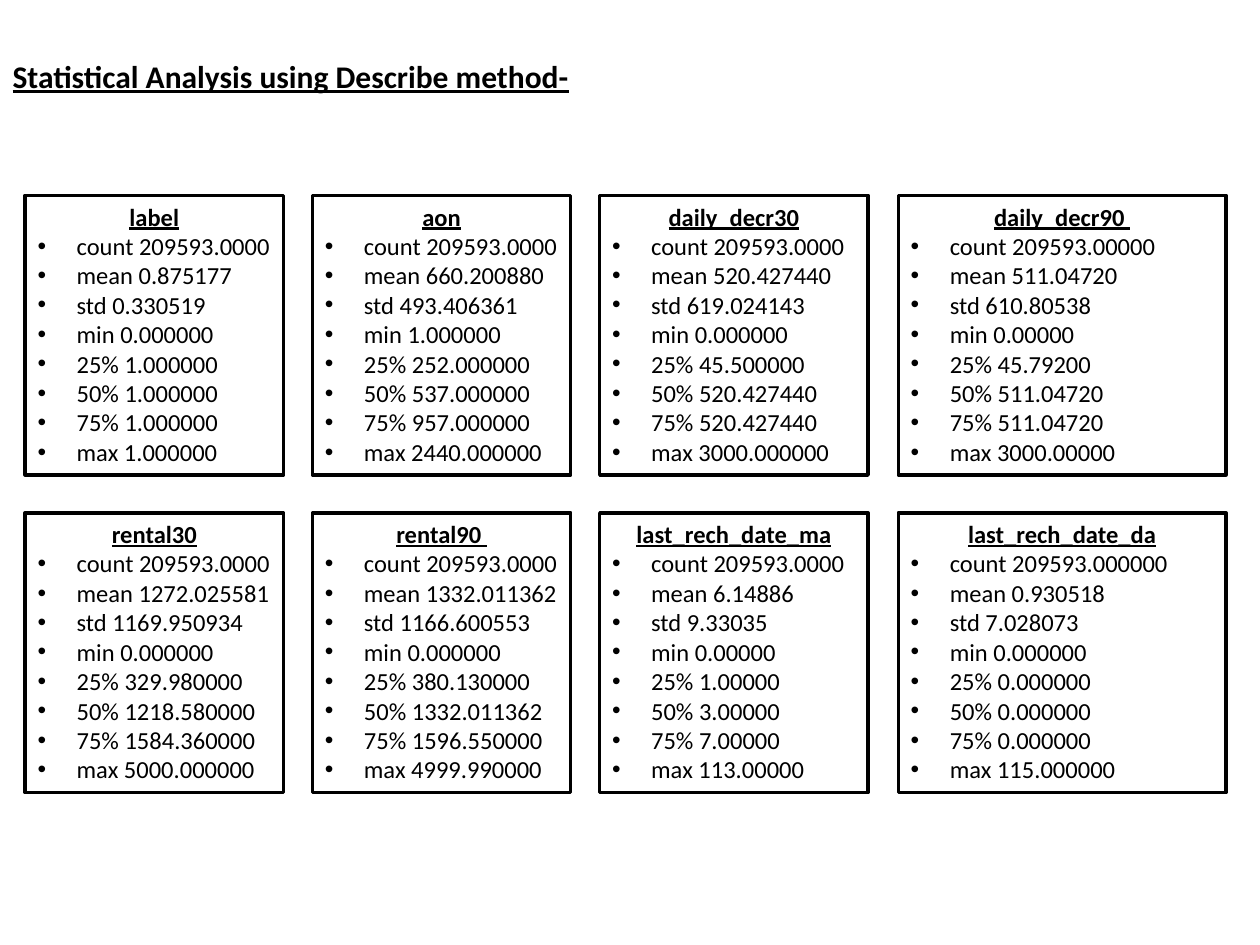
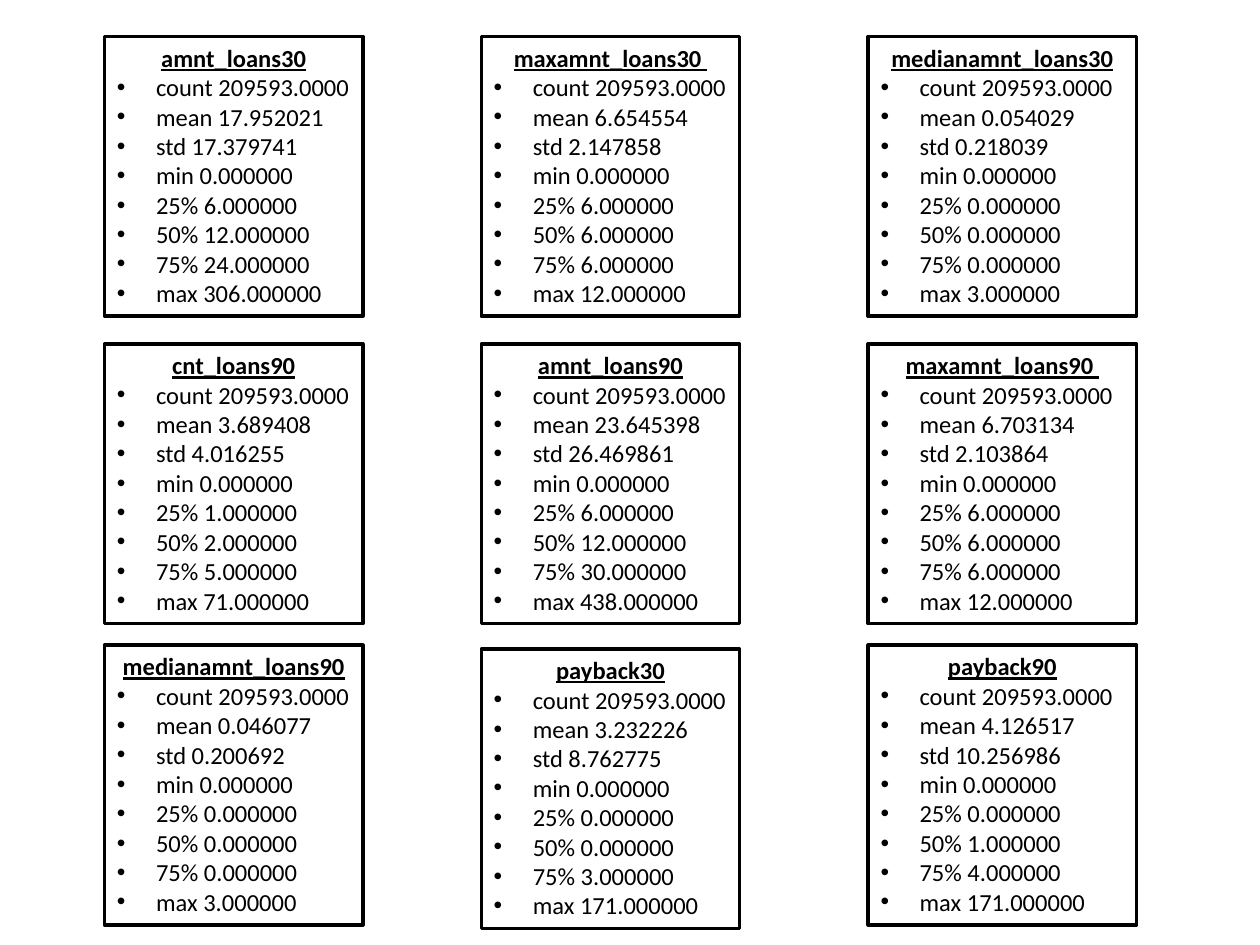
from dataclasses import dataclass

from lxml.etree import SubElement
from pptx import Presentation
from pptx.dml.color import RGBColor
from pptx.enum.shapes import MSO_SHAPE
from pptx.enum.text import MSO_ANCHOR, MSO_AUTO_SIZE, PP_ALIGN
from pptx.oxml.ns import qn
from pptx.util import Inches, Pt

STATS = ("count", "mean", "std", "min", "25%", "50%", "75%", "max")

# Each slide: grid columns as (left, width), row tops, and cards in reading order.
# A card is (variable, values in the order of STATS).
SLIDES = [
    {
        "title": "Statistical Analysis using Describe method-",
        "columns": [(0.2, 2.05), (2.48, 2.05), (4.76, 2.13), (7.13, 2.6)],
        "rows": [1.55, 4.07],
        "cards": [
            ("label", "209593.0000 0.875177 0.330519 0.000000 "
                      "1.000000 1.000000 1.000000 1.000000"),
            ("aon", "209593.0000 660.200880 493.406361 1.000000 "
                    "252.000000 537.000000 957.000000 2440.000000"),
            ("daily_decr30", "209593.0000 520.427440 619.024143 0.000000 "
                             "45.500000 520.427440 520.427440 3000.000000"),
            ("daily_decr90 ", "209593.00000 511.04720 610.80538 0.00000 "
                              "45.79200 511.04720 511.04720 3000.00000"),
            ("rental30", "209593.0000 1272.025581 1169.950934 0.000000 "
                         "329.980000 1218.580000 1584.360000 5000.000000"),
            ("rental90 ", "209593.0000 1332.011362 1166.600553 0.000000 "
                          "380.130000 1332.011362 1596.550000 4999.990000"),
            ("last_rech_date_ma", "209593.0000 6.14886 9.33035 0.00000 "
                                  "1.00000 3.00000 7.00000 113.00000"),
            ("last_rech_date_da", "209593.000000 0.930518 7.028073 0.000000 "
                                  "0.000000 0.000000 0.000000 115.000000"),
        ],
    },
    {
        "title": None,
        "columns": [(0.83, 2.05), (3.82, 2.05), (6.89, 2.13)],
        "rows": [0.29, 2.73, 5.12],
        "cards": [
            ("amnt_loans30", "209593.0000 17.952021 17.379741 0.000000 "
                             "6.000000 12.000000 24.000000 306.000000"),
            ("maxamnt_loans30 ", "209593.0000 6.654554 2.147858 0.000000 "
                                 "6.000000 6.000000 6.000000 12.000000"),
            ("medianamnt_loans30", "209593.0000 0.054029 0.218039 0.000000 "
                                   "0.000000 0.000000 0.000000 3.000000"),
            ("cnt_loans90", "209593.0000 3.689408 4.016255 0.000000 "
                            "1.000000 2.000000 5.000000 71.000000"),
            ("amnt_loans90", "209593.0000 23.645398 26.469861 0.000000 "
                             "6.000000 12.000000 30.000000 438.000000"),
            ("maxamnt_loans90 ", "209593.0000 6.703134 2.103864 0.000000 "
                                 "6.000000 6.000000 6.000000 12.000000"),
            ("medianamnt_loans90", "209593.0000 0.046077 0.200692 0.000000 "
                                   "0.000000 0.000000 0.000000 3.000000"),
            ("payback30", "209593.0000 3.232226 8.762775 0.000000 "
                          "0.000000 0.000000 3.000000 171.000000"),
            ("payback90", "209593.0000 4.126517 10.256986 0.000000 "
                          "0.000000 1.000000 4.000000 171.000000"),
        ],
    },
]
LOWERED = {"payback30": 0.03}  # cards set slightly below their row


@dataclass(frozen=True)
class Theme:
    ink: RGBColor = RGBColor(0, 0, 0)
    paper: RGBColor = RGBColor(255, 255, 255)
    face: str = "Calibri"
    title_size: int = 18
    card_size: int = 14
    border: int = 2
    card_height: float = 2.22
    indent: float = 0.31


THEME = Theme()


def style(paragraph, size, heading=False):
    font = paragraph.font
    font.name, font.size = THEME.face, Pt(size)
    font.color.rgb = THEME.ink
    font.bold = font.underline = heading


def add_bullet(paragraph):
    properties = paragraph._p.get_or_add_pPr()
    properties.set("marL", str(Inches(THEME.indent)))
    properties.set("indent", str(-Inches(THEME.indent)))
    font = SubElement(properties, qn("a:buFont"))
    font.set("typeface", "Arial")
    SubElement(properties, qn("a:buChar")).set("char", "•")


def add_card(slide, left, top, width, variable, values):
    card = slide.shapes.add_shape(
        MSO_SHAPE.RECTANGLE, Inches(left), Inches(top),
        Inches(width), Inches(THEME.card_height))
    card.shadow.inherit = False
    card.fill.solid()
    card.fill.fore_color.rgb = THEME.paper
    card.line.color.rgb = THEME.ink
    card.line.width = Pt(THEME.border)

    frame = card.text_frame
    frame.word_wrap = True
    frame.auto_size = MSO_AUTO_SIZE.SHAPE_TO_FIT_TEXT
    frame.vertical_anchor = MSO_ANCHOR.TOP
    heading = frame.paragraphs[0]
    heading.text = variable
    heading.alignment = PP_ALIGN.CENTER
    style(heading, THEME.card_size, heading=True)
    for stat, value in zip(STATS, values.split()):
        entry = frame.add_paragraph()
        entry.text = f"{stat} {value}"
        entry.alignment = PP_ALIGN.LEFT
        add_bullet(entry)
        style(entry, THEME.card_size)


def set_title(slide, wording):
    title = slide.shapes.title
    title.left, title.top = Inches(0), Inches(0.4)
    title.width, title.height = Inches(5.39), Inches(0.4)
    frame = title.text_frame
    frame.text = wording
    frame.auto_size = MSO_AUTO_SIZE.SHAPE_TO_FIT_TEXT
    frame.vertical_anchor = MSO_ANCHOR.TOP
    frame.paragraphs[0].alignment = PP_ALIGN.LEFT
    style(frame.paragraphs[0], THEME.title_size, heading=True)


def main():
    deck = Presentation()
    deck.slide_width, deck.slide_height = Inches(10), Inches(7.5)
    title_only, blank = deck.slide_layouts[5], deck.slide_layouts[6]
    for content in SLIDES:
        slide = deck.slides.add_slide(title_only if content["title"] else blank)
        if content["title"]:
            set_title(slide, content["title"])
        columns = content["columns"]
        for index, (variable, values) in enumerate(content["cards"]):
            row, column = divmod(index, len(columns))
            left, width = columns[column]
            top = content["rows"][row] + LOWERED.get(variable, 0)
            add_card(slide, left, top, width, variable, values)
    deck.save("out.pptx")


if __name__ == "__main__":
    main()
